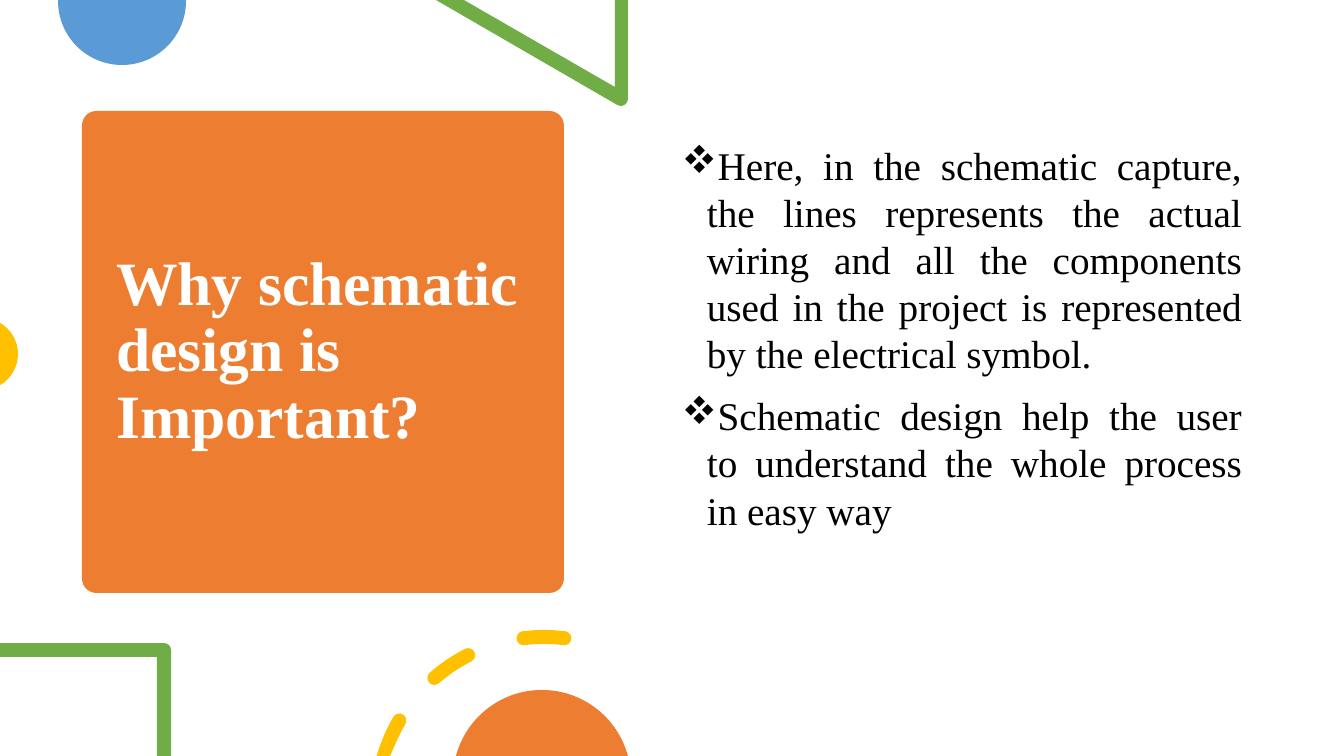
from math import ceil, cos, radians, sin, tan

from lxml.etree import SubElement
from pptx import Presentation
from pptx.dml.color import RGBColor
from pptx.enum.shapes import MSO_SHAPE as Shape
from pptx.enum.text import MSO_ANCHOR as Anchor, PP_ALIGN as Align
from pptx.oxml.ns import qn
from pptx.util import Emu, Pt

WIDTH, HEIGHT = 1344, 756
SCALE = 12192000 / WIDTH
FONT = "Times New Roman"
COLORS = {
    "orange": "ED7D31", "blue": "5B9BD5", "green": "70AD47",
    "yellow": "FFC000", "white": "FFFFFF", "black": "000000",
}
REASONS = [
    "Here, in the schematic capture, the lines represents the actual wiring and all "
    "the components used in the project is represented by the electrical symbol.",
    "Schematic design help the user to understand the whole process in easy way",
]


def px(length):
    return Emu(round(length * SCALE))


def set_all(target, values):
    for name, value in values.items():
        setattr(target, name, value)


def paint(shape, color):
    shape.shadow.inherit = False
    shape.fill.solid()
    shape.fill.fore_color.rgb = RGBColor.from_string(COLORS[color])
    shape.line.fill.background()


def write(paragraph, text, color, size, bold, spacing):
    run = paragraph.add_run()
    run.text = text
    set_all(run.font, {"name": FONT, "size": Pt(size), "bold": bold})
    run.font.color.rgb = RGBColor.from_string(COLORS[color])
    set_all(paragraph, spacing)


def arc(center_x, center_y, radius, start, end):
    count = max(1, ceil(abs(end - start) / 90))
    step = radians(end - start) / count
    reach = 4 / 3 * tan(step / 4)

    def at(angle, pull=0):
        return (center_x + radius * (cos(angle) - pull * sin(angle)),
                center_y + radius * (sin(angle) + pull * cos(angle)))

    angles = [radians(start) + step * i for i in range(count)]
    curves = [[at(a, reach), at(a + step, -reach), at(a + step)] for a in angles]
    return [[at(angles[0])]] + curves


def dash(center_x, center_y, radius, start, end, half=7):
    def cap(angle, turn):
        middle = arc(center_x, center_y, radius, angle, angle)[0][0]
        return arc(*middle, half, angle + turn, angle + turn + 180)[1:]

    outline = (arc(center_x, center_y, radius + half, start, end) + cap(end, 0)
               + arc(center_x, center_y, radius - half, end, start)[1:] + cap(start, 180))
    return [[(x, min(y, HEIGHT)) for x, y in segment] for segment in outline]


def lines(*points):
    return [[point] for point in points]


def add_outline(slide, color, *contours):
    builder = None
    for contour in contours:
        first, *rest = [(px(x), px(y)) for segment in contour for x, y in segment]
        if builder:
            builder.move_to(*first)
        else:
            builder = slide.shapes.build_freeform(*first, scale=1.0)
        builder.add_line_segments(rest, close=True)
    shape = builder.convert_to_shape()
    paint(shape, color)
    nodes = iter(list(shape._element.iter(qn("a:lnTo"))))
    for segment in (segment for contour in contours for segment in contour[1:]):
        group = [next(nodes) for _ in segment]
        if len(group) == 3:
            group[0].tag = qn("a:cubicBezTo")
            for node in group[1:]:
                group[0].append(node[0])
                node.getparent().remove(node)


def add_decorations(slide):
    add_outline(slide, "blue", lines((186, 0), (58, 0)) + arc(122, 1, 64, 180, 0)[0:])
    add_outline(slide, "green", lines((628, 0), (615, 0), (615, 87), (464, 0), (436, 0))
                + arc(621, 99, 7, 120, 0))
    add_outline(slide, "yellow", arc(-18, 354, 36, -60, 60))
    add_outline(slide, "green", lines((0, 643), (0, 657), (157, 657), (157, HEIGHT),
                                      (171, HEIGHT)) + arc(164, 650, 7, 0, -90))
    dashes = [(196, 210), (229, 243), (263, 277)]
    add_outline(slide, "yellow", *[dash(544, 804, 167, *span) for span in dashes])
    add_outline(slide, "orange", arc(542, 779, 89, -165, -15))


def add_title_card(slide, left, top, size):
    card = slide.shapes.add_shape(Shape.ROUNDED_RECTANGLE,
                                  px(left), px(top), px(size), px(size))
    card.adjustments[0] = 0.03
    paint(card, "orange")

    title = slide.shapes.title
    set_all(title, {"left": px(left + 24), "top": px(top + 11),
                    "width": px(size - 48), "height": px(size - 22)})
    set_all(title.text_frame, {"vertical_anchor": Anchor.MIDDLE, "word_wrap": True})
    write(title.text_frame.paragraphs[0], "Why schematic design is Important?",
          "white", 44, True, {"alignment": Align.LEFT, "line_spacing": 0.9})
    slide.shapes._spTree.append(title._element)


def add_reasons(slide, left, top, width, height):
    frame = slide.shapes.add_textbox(px(left), px(top), px(width), px(height)).text_frame
    set_all(frame, {"word_wrap": True, "vertical_anchor": Anchor.TOP,
                    "margin_top": px(50)})
    for index, reason in enumerate(REASONS):
        paragraph = frame.add_paragraph() if index else frame.paragraphs[0]
        write(paragraph, reason, "black", 28, False,
              {"alignment": Align.JUSTIFY, "line_spacing": 1.0,
               "space_before": Pt(11 * index)})
        properties = paragraph._p.get_or_add_pPr()
        properties.set("marL", str(px(25)))
        properties.set("indent", str(px(-25)))
        SubElement(properties, qn("a:buFont")).set("typeface", "Wingdings")
        SubElement(properties, qn("a:buChar")).set("char", "v")


def main():
    presentation = Presentation()
    set_all(presentation, {"slide_width": px(WIDTH), "slide_height": px(HEIGHT)})
    slide = presentation.slides.add_slide(presentation.slide_layouts[5])
    add_title_card(slide, 82, 111, 482)
    add_decorations(slide)
    add_reasons(slide, 672, 91, 580, 539)
    presentation.save("out.pptx")


if __name__ == "__main__":
    main()
